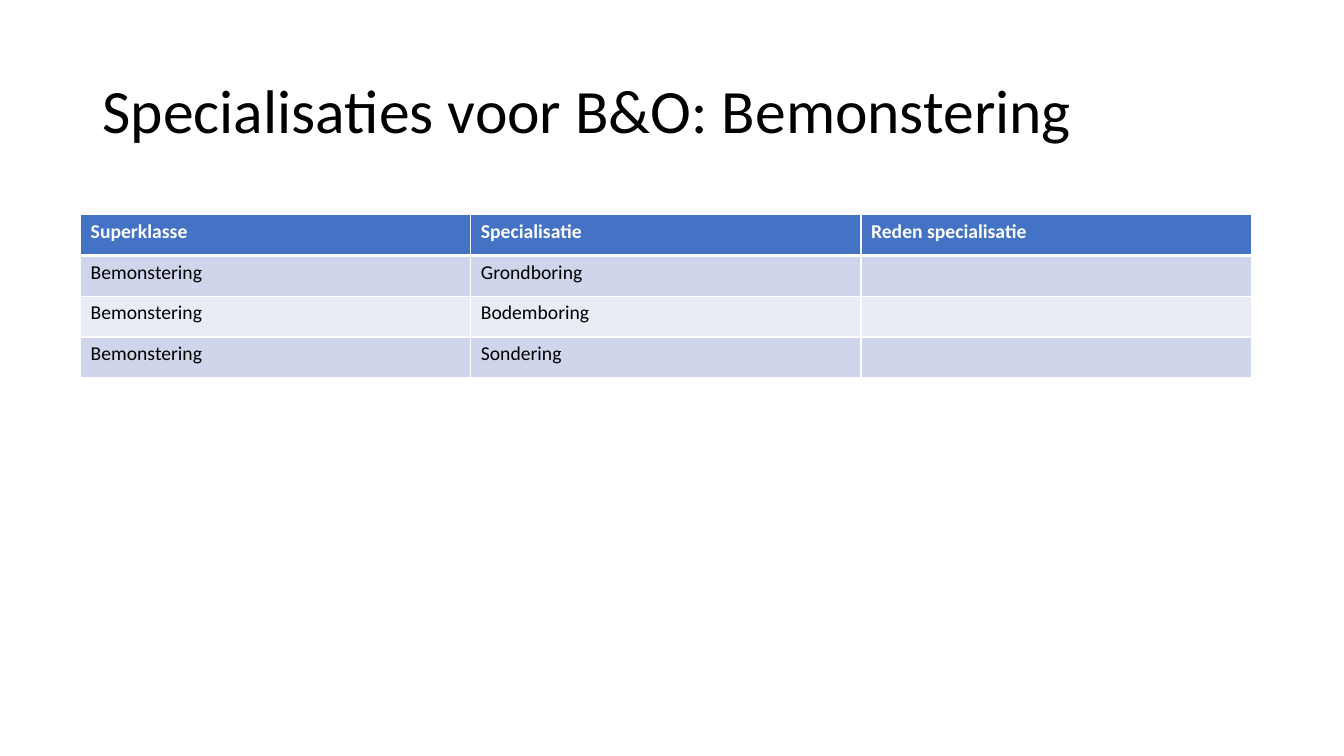
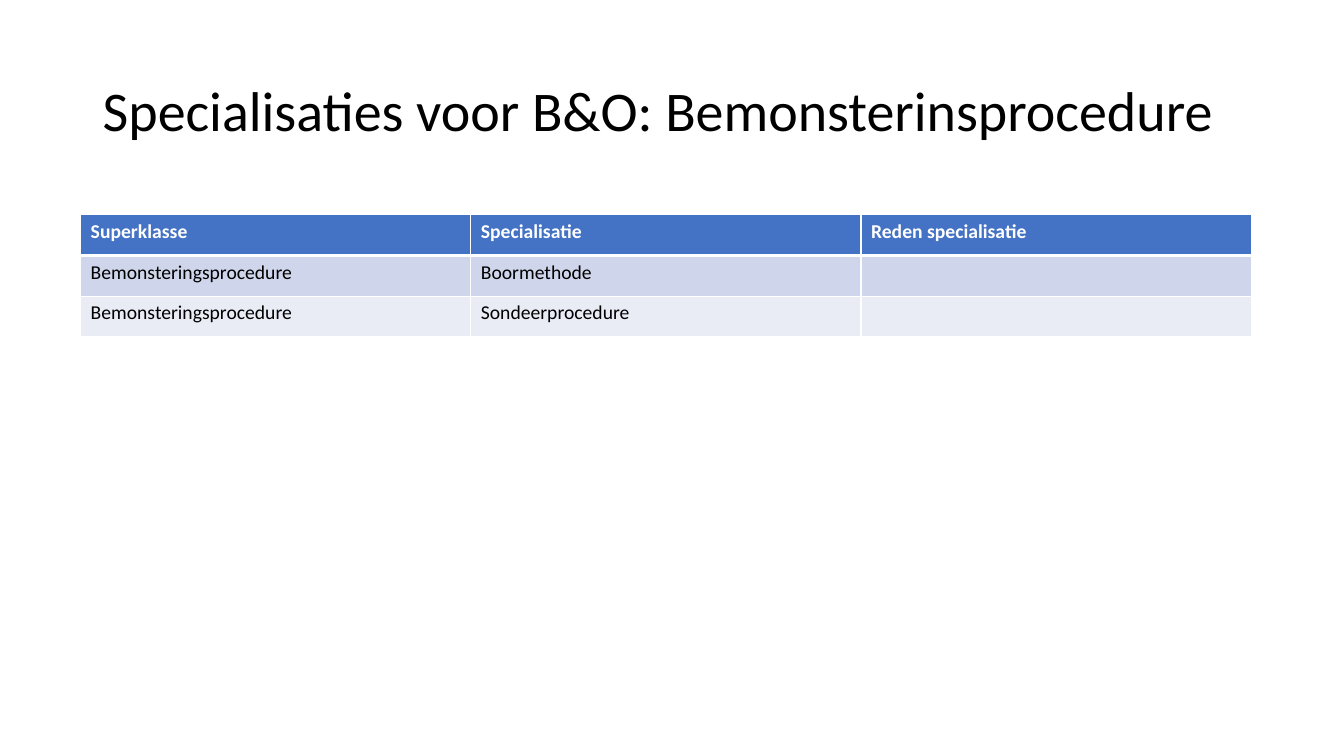
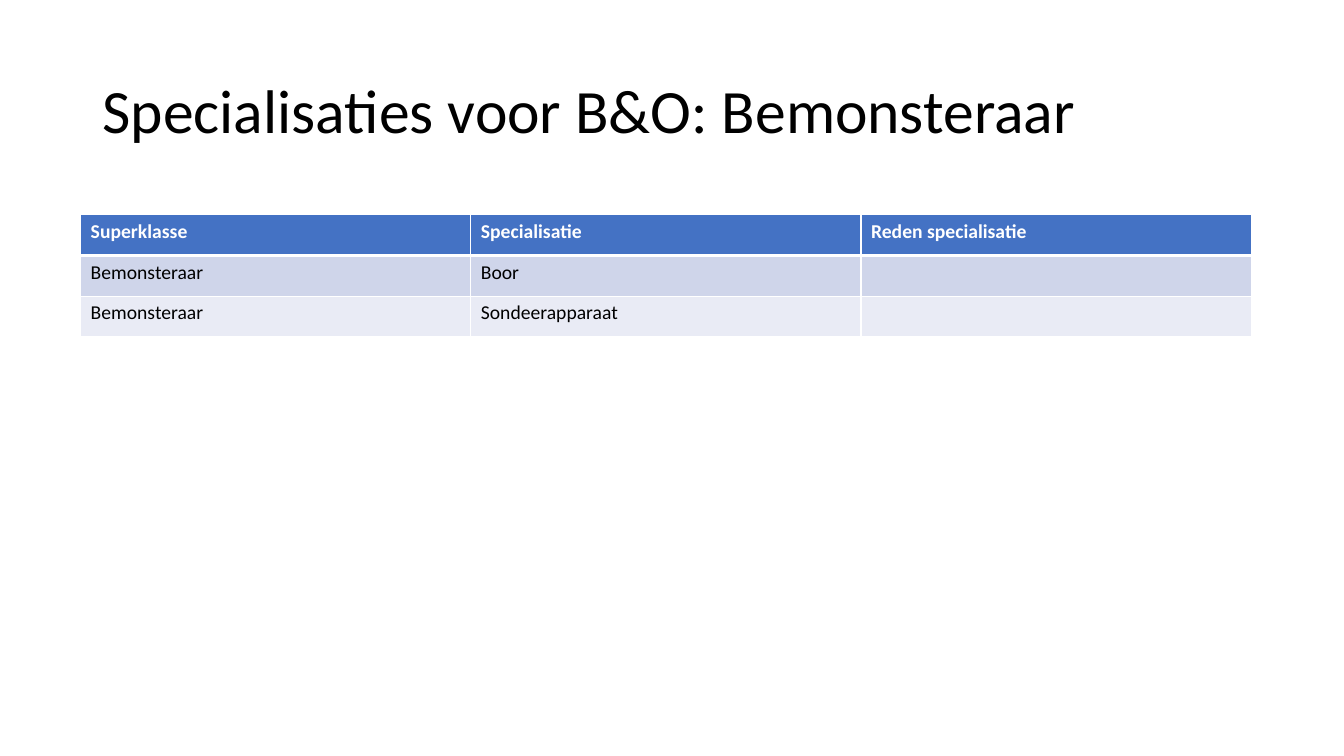
"""Build three slides that list the B&O specialisations per superclass."""
import lxml.etree
import pptx
import pptx.dml.color
import pptx.enum.text
import pptx.oxml.ns
import pptx.util

Inches = pptx.util.Inches
Pt = pptx.util.Pt

COLOURS = {
    "text": "000000",
    "header": "4472C4",
    "header_text": "FFFFFF",
    "border": "FFFFFF",
    "odd_row": "CFD5EA",
    "even_row": "E9EBF5",
}
HEADINGS = ("Superklasse", "Specialisatie", "Reden specialisatie")
TOPICS = (
    ("Bemonstering", 44, "Bemonstering", ("Grondboring", "Bodemboring", "Sondering")),
    ("Bemonsterinsprocedure", 40, "Bemonsteringsprocedure", ("Boormethode", "Sondeerprocedure")),
    ("Bemonsteraar", 44, "Bemonsteraar", ("Boor", "Sondeerapparaat")),
)


class Deck:
    font_name = "Calibri"
    cell_size = 14
    column_width = Inches(3.87)
    row_height = Inches(1.62) // 4
    thin, thick = 1, 3

    def __init__(self):
        self.presentation = pptx.Presentation()
        self.presentation.slide_width = Inches(13.33)
        self.presentation.slide_height = Inches(7.5)
        self.slide = None

    def new_slide(self):
        self.slide = self.presentation.slides.add_slide(self.presentation.slide_layouts[6])

    def colour(self, key):
        return pptx.dml.color.RGBColor.from_string(COLOURS[key])

    def set_text(self, paragraph, text, size, colour, bold=False):
        paragraph.text = text
        paragraph.font.name = self.font_name
        paragraph.font.size = Pt(size)
        paragraph.font.bold = bold
        paragraph.font.color.rgb = self.colour(colour)

    def title(self, text, size):
        box = self.slide.shapes.add_textbox(Inches(0.92), Inches(0.4), Inches(11.5), Inches(1.45))
        frame = box.text_frame
        frame.word_wrap = True
        frame.vertical_anchor = pptx.enum.text.MSO_ANCHOR.MIDDLE
        frame.paragraphs[0].line_spacing = 0.9
        self.set_text(frame.paragraphs[0], text, size, "text")

    def borders(self, cell, top, bottom):
        qn = pptx.oxml.ns.qn
        properties = cell._tc.get_or_add_tcPr()
        sides = {"lnL": self.thin, "lnR": self.thin, "lnT": top, "lnB": bottom}
        for side, width in sides.items():
            line = lxml.etree.SubElement(properties, qn(f"a:{side}"), w=str(Pt(width)))
            fill = lxml.etree.SubElement(line, qn("a:solidFill"))
            lxml.etree.SubElement(fill, qn("a:srgbClr"), val=COLOURS["border"])

    def table(self, rows):
        columns = len(rows[0])
        table = self.slide.shapes.add_table(
            len(rows), columns, Inches(0.8), Inches(2.13),
            self.column_width * columns, self.row_height * len(rows)).table
        table.first_row = table.horz_banding = False
        for index, texts in enumerate(rows):
            header = index == 0
            band = "header" if header else "odd_row" if index % 2 else "even_row"
            top = self.thick if index == 1 else self.thin
            bottom = self.thick if header else self.thin
            for column, text in enumerate(texts):
                cell = table.cell(index, column)
                self.borders(cell, top, bottom)
                cell.fill.solid()
                cell.fill.fore_color.rgb = self.colour(band)
                self.set_text(cell.text_frame.paragraphs[0], text, self.cell_size,
                              "header_text" if header else "text", header)


def main():
    deck = Deck()
    for topic, title_size, superclass, specialisations in TOPICS:
        deck.new_slide()
        deck.title(f"Specialisaties voor B&O: {topic}", title_size)
        deck.table([HEADINGS] + [(superclass, name, "") for name in specialisations])
    deck.presentation.save("out.pptx")


if __name__ == "__main__":
    main()
